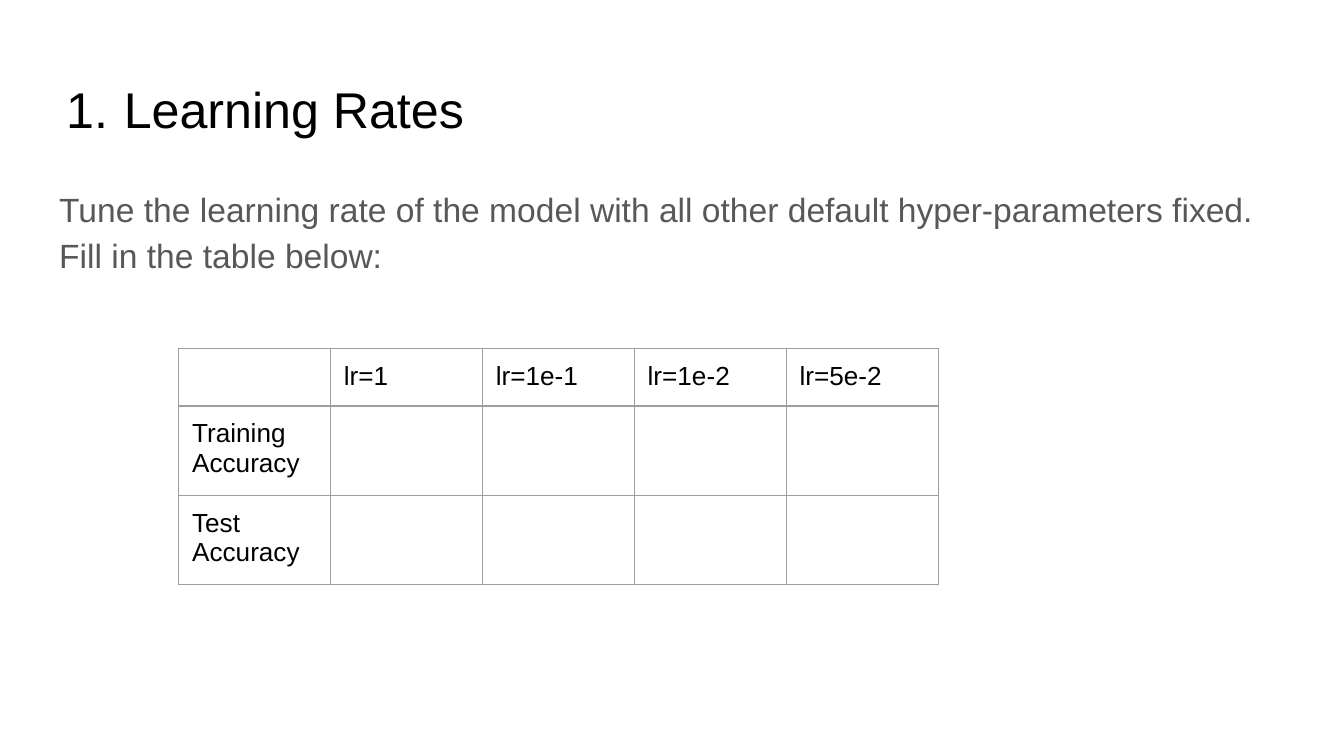
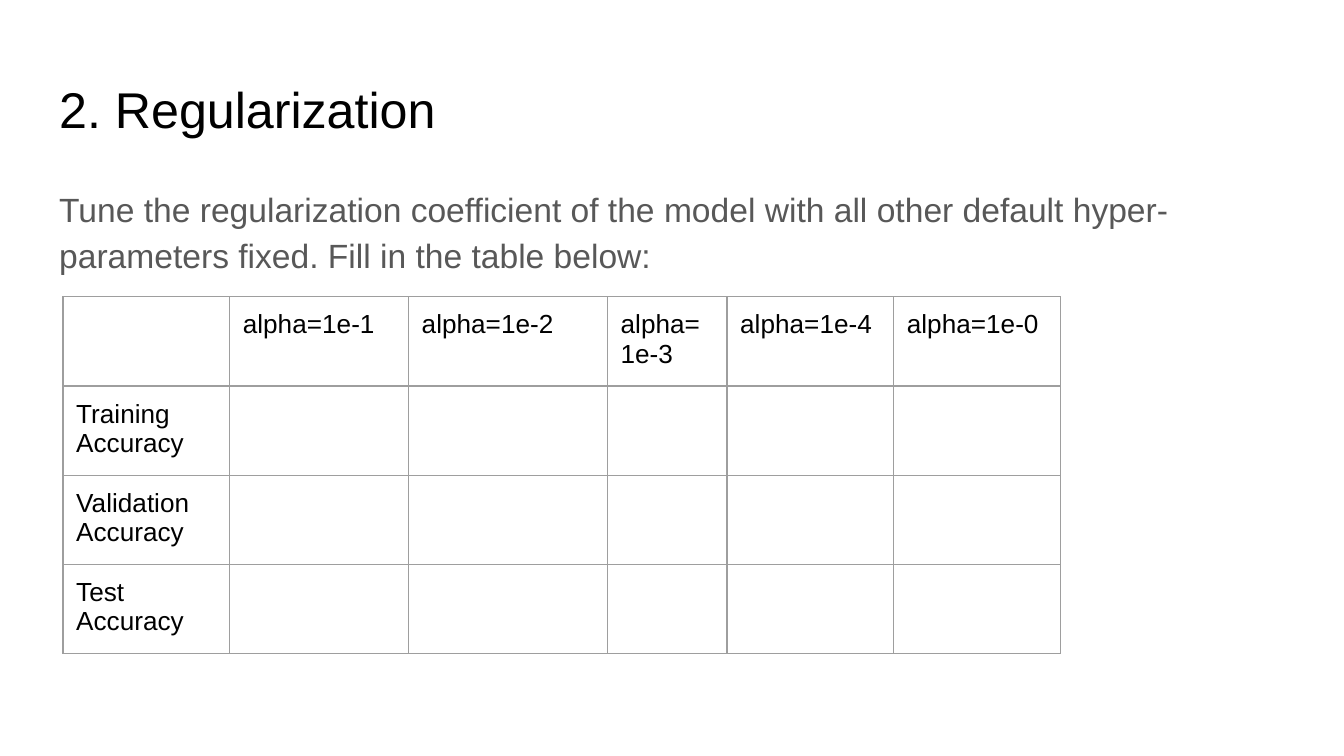
from lxml import etree
from pptx import Presentation
from pptx.dml.color import RGBColor
from pptx.enum.text import MSO_ANCHOR
from pptx.oxml.ns import qn
from pptx.util import Cm, Pt

TOP = MSO_ANCHOR.TOP
FONT = "Arial"
INK = {"title": "000000", "body": "585858", "cell": "000000", "rule": "9E9E9E"}
SIZE = {"title": 26.9, "body": 18, "cell": 14}
PAD = Cm(0.25)

# What differs from slide to slide
pages = [
    {
        "title": "Learning Rates",
        "number": True,
        "body": "Tune the learning rate of the model with all other default "
                "hyper-parameters fixed. Fill in the table below:",
        "before": 0,
        "place": (3.38, 6.58),
        "cols": [2.87] * 5,
        "heads": ["lr=1", "lr=1e-1", "lr=1e-2", "lr=5e-2"],
        "sides": ["Training Accuracy", "Test Accuracy"],
    },
    {
        "title": "2. Regularization",
        "number": False,
        "body": "Tune the regularization coefficient of the model with all other "
                "default hyper-parameters fixed. Fill in the table below:",
        "before": 16,
        "place": (1.19, 5.61),
        "cols": [3.15, 3.38, 3.76, 2.26, 3.15, 3.15],
        "heads": ["alpha=1e-1", "alpha=1e-2", "alpha=1e-3", "alpha=1e-4", "alpha=1e-0"],
        "sides": ["Training Accuracy", "Validation Accuracy", "Test Accuracy"],
    },
]


def add_run(para, text, kind):
    run = para.add_run()
    run.text = text
    run.font.name = FONT
    run.font.size = Pt(SIZE[kind])
    run.font.color.rgb = RGBColor.from_string(INK[kind])


def add_box(slide, top, height, text, kind):
    frame = slide.shapes.add_textbox(Cm(0.87), Cm(top), Cm(23.67), Cm(height)).text_frame
    frame.word_wrap = True
    frame.vertical_anchor = TOP
    frame.margin_left = frame.margin_right = PAD
    frame.margin_top = frame.margin_bottom = PAD
    para = frame.paragraphs[0]
    add_run(para, text, kind)
    return para


deck = Presentation()
deck.slide_width, deck.slide_height = Cm(25.4), Cm(14.29)

for page in pages:
    slide = deck.slides.add_slide(deck.slide_layouts[6])

    # Title, numbered by the list where asked
    para = add_box(slide, 1.24, 1.6, page["title"], "title")
    if page["number"]:
        props = para._p.get_or_add_pPr()
        props.set("marL", str(Cm(1.22)))
        props.set("indent", str(-Cm(1.09)))
        tint = etree.SubElement(props, qn("a:buClr"))
        etree.SubElement(tint, qn("a:srgbClr"), val=INK["title"])
        etree.SubElement(props, qn("a:buFont"), typeface=FONT)
        etree.SubElement(props, qn("a:buAutoNum"), type="arabicPeriod")

    # Task text
    para = add_box(slide, 3.2, 9.5, page["body"], "body")
    para.line_spacing = 1.15
    para.space_before = Pt(page["before"])

    # Table to fill in
    heads, sides, cols = page["heads"], page["sides"], page["cols"]
    grid = [["", *heads]] + [[side] + [""] * len(heads) for side in sides]
    left, top = page["place"]
    table = slide.shapes.add_table(len(grid), len(cols), Cm(left), Cm(top),
                                   Cm(sum(cols)), Cm(1.07 * len(grid))).table
    table.first_row = table.horz_banding = False
    for col, width in zip(table.columns, cols):
        col.width = Cm(width)
    for row, texts in zip(table.rows, grid):
        row.height = Cm(1.07)
        for cell, text in zip(row.cells, texts):
            cell.margin_left = cell.margin_right = PAD
            cell.margin_top = cell.margin_bottom = PAD
            cell.vertical_anchor = TOP
            para = cell.text_frame.paragraphs[0]
            if text:
                add_run(para, text, "cell")
            else:
                etree.SubElement(para._p, qn("a:endParaRPr"), sz=str(SIZE["cell"] * 100))
            # Cell borders come before the fill
            props = cell._tc.get_or_add_tcPr()
            for edge in ("lnL", "lnR", "lnT", "lnB"):
                line = etree.SubElement(props, qn("a:" + edge), w=str(Pt(0.75)))
                fill = etree.SubElement(line, qn("a:solidFill"))
                etree.SubElement(fill, qn("a:srgbClr"), val=INK["rule"])
            cell.fill.background()

deck.save("out.pptx")
